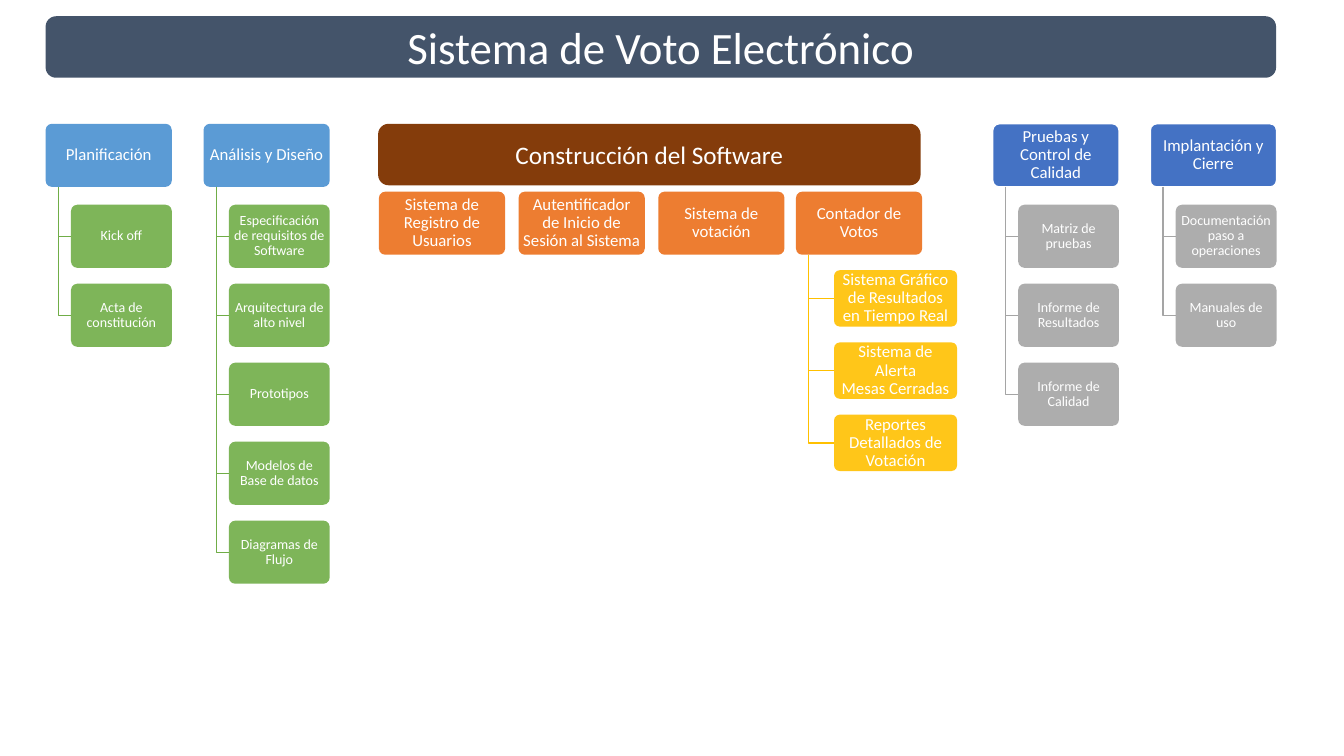
import copy
from lxml import etree
from pptx import Presentation
from pptx import util as u
from pptx.dml.color import RGBColor
from pptx.enum import shapes, text
from pptx.oxml import ns

WHITE = RGBColor(0xFF, 0xFF, 0xFF)
SLATE = RGBColor(0x44, 0x54, 0x6A)
BROWN = RGBColor(0x84, 0x3C, 0x0B)
SKY = RGBColor(0x5B, 0x9B, 0xD5)
GREEN = RGBColor(0x70, 0xAD, 0x47)
ORANGE = RGBColor(0xED, 0x7D, 0x31)
AMBER = RGBColor(0xFF, 0xC0, 0x00)
BLUE = RGBColor(0x44, 0x72, 0xC4)
GREY = RGBColor(0xA5, 0xA5, 0xA5)

# Content
TITLE = "Sistema de Voto Electrónico"
BUILD_TITLE = "Construcción del Software"
# Phases: left (cm), name, colour, outline, task colour, tasks
PHASES = [
    (1.15, "Planificación", SKY, None, GREEN,
     ["Kick off", "Acta de constitución"]),
    (5.13, "Análisis y Diseño", SKY, None, GREEN,
     ["Especificación de requisitos de Software", "Arquitectura de alto nivel",
      "Prototipos", "Modelos de Base de datos", "Diagramas de Flujo"]),
    (25.02, "Pruebas y Control de Calidad", BLUE, WHITE, GREY,
     ["Matriz de pruebas", "Informe de Resultados", "Informe de Calidad"]),
    (28.99, "Implantación y Cierre", BLUE, WHITE, GREY,
     ["Documentación paso a operaciones", "Manuales de uso"]),
]
# Modules: left (cm), name, parts
MODULES = [
    (9.55, "Sistema de Registro de Usuarios", []),
    (13.07, "Autentificador de Inicio de Sesión al Sistema", []),
    (16.59, "Sistema de votación", []),
    (20.06, "Contador de Votos",
     ["Sistema Gráfico de Resultados en Tiempo Real",
      "Sistema de Alerta\vMesas Cerradas",
      "Reportes Detallados de Votación"]),
]

# Layout in cm
HEAD_W, HEAD_H = 3.18, 1.59
PHASE_TOP, MODULE_TOP = 3.12, 4.83
STEM = 0.32
TASKS = dict(indent=0.64, gap=0.45, width=2.54, height=1.59, pitch=1.99,
             size=10, inset=(0.05, 0.03))
PARTS = dict(indent=0.96, gap=0.39, width=3.1, height=1.42, pitch=1.82,
             size=12, inset=(0.06, 0.04))

deck = Presentation()
deck.slide_width, deck.slide_height = u.Cm(33.87), u.Cm(19.05)
page = deck.slides.add_slide(deck.slide_layouts[6])


def add_box(label, left, top, width, height, fill, size=12, outline=None,
            opacity=100, corner=0.1, spacing=0.9, inset=(0.06, 0.04)):
    box = page.shapes.add_shape(
        shapes.MSO_SHAPE.ROUNDED_RECTANGLE,
        u.Cm(left), u.Cm(top), u.Cm(width), u.Cm(height))
    box.adjustments[0] = corner
    box.shadow.inherit = False
    box.fill.solid()
    box.fill.fore_color.rgb = fill
    if opacity < 100:
        colour = box.fill._xPr.find(".//" + ns.qn("a:srgbClr"))
        etree.SubElement(colour, ns.qn("a:alpha"), val=str(opacity * 1000))
    if outline is None:
        box.line.fill.background()
    else:
        box.line.color.rgb = outline
        box.line.width = u.Pt(1)

    frame = box.text_frame
    frame.word_wrap = True
    frame.vertical_anchor = text.MSO_ANCHOR.MIDDLE
    frame.margin_left = frame.margin_right = u.Cm(inset[0])
    frame.margin_top = frame.margin_bottom = u.Cm(inset[1])
    para = frame.paragraphs[0]
    para.text = label
    para.alignment = text.PP_ALIGN.CENTER
    para.line_spacing = spacing
    for span in para.runs:
        span.font.name = "Calibri"
        span.font.size = u.Pt(size)
        span.font.color.rgb = WHITE
    # Line breaks take the size of the text around them
    for line_break in para._p.findall(ns.qn("a:br")):
        line_break.insert(0, copy.deepcopy(para.runs[0]._r.rPr))


def add_elbow(left, top, right, bottom, colour):
    builder = page.shapes.build_freeform(u.Cm(left), u.Cm(top))
    builder.add_line_segments(
        [(u.Cm(left), u.Cm(bottom)), (u.Cm(right), u.Cm(bottom))], close=False)
    elbow = builder.convert_to_shape()
    elbow.shadow.inherit = False
    elbow.fill.background()
    elbow.line.color.rgb = colour
    elbow.line.width = u.Pt(1)


def add_branch(left, top, name, fill, outline, children, child_fill, rule):
    """A heading with its children hung below it."""
    add_box(name, left, top, HEAD_W, HEAD_H, fill, outline=outline)
    base = top + HEAD_H
    child_left = left + rule["indent"]
    for row, child in enumerate(children):
        child_top = base + rule["gap"] + row * rule["pitch"]
        add_elbow(left + STEM, base, child_left,
                  child_top + rule["height"] / 2, child_fill)
        add_box(child, child_left, child_top, rule["width"], rule["height"],
                child_fill, size=rule["size"], opacity=90, inset=rule["inset"])


# Phases and modules
for left, name, fill, outline, task_fill, tasks in PHASES:
    add_branch(left, PHASE_TOP, name, fill, outline, tasks, task_fill, TASKS)
for left, name, parts in MODULES:
    add_branch(left, MODULE_TOP, name, ORANGE, None, parts, AMBER, PARTS)

# Title bars
BAR = dict(corner=0.17, spacing=1.0, inset=(0.25, 0.13))
add_box(TITLE, 1.15, 0.41, 31.01, 1.55, SLATE, size=32, **BAR)
add_box(BUILD_TITLE, 9.53, PHASE_TOP, 13.67, 1.55, BROWN, size=18, **BAR)

deck.save("out.pptx")
